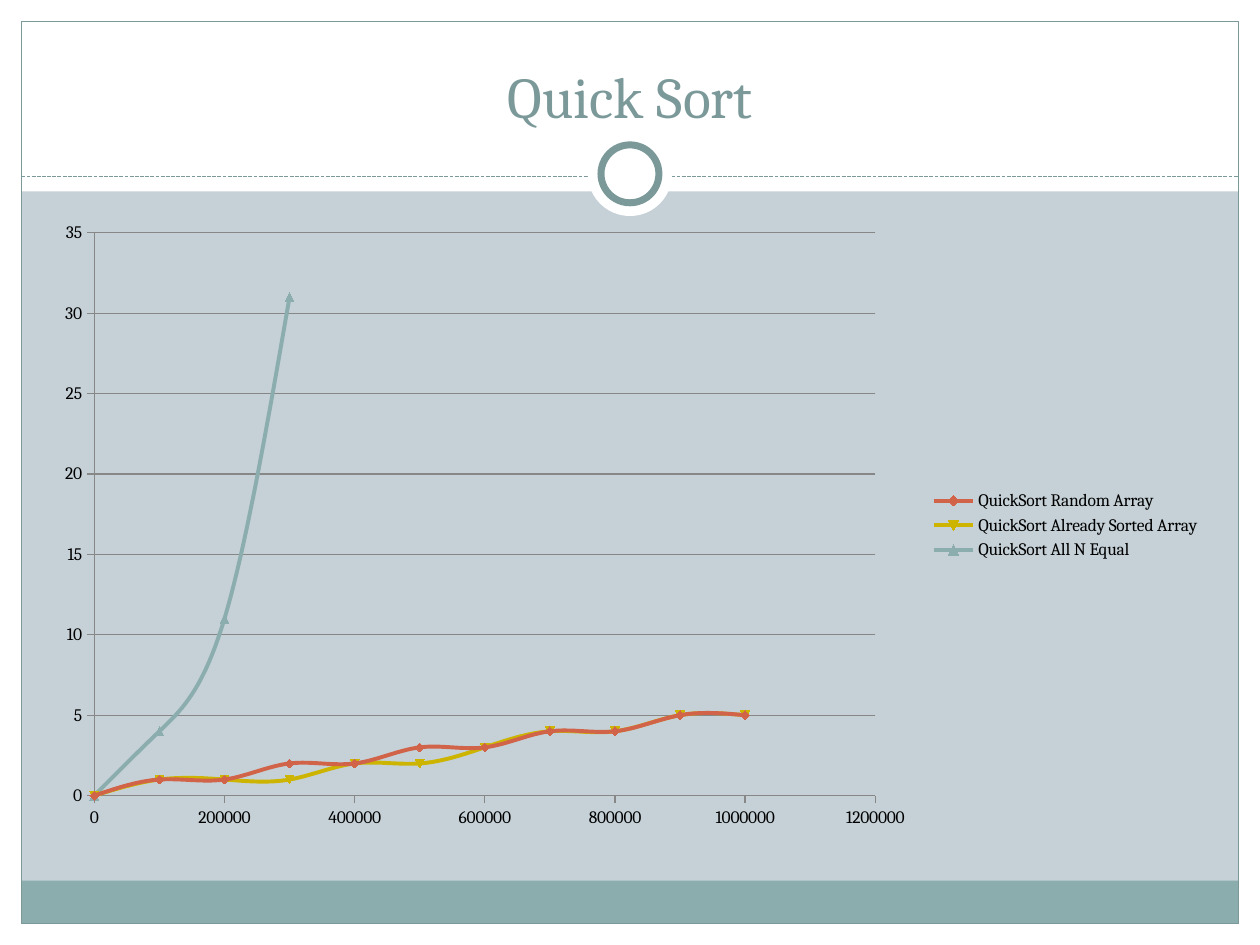
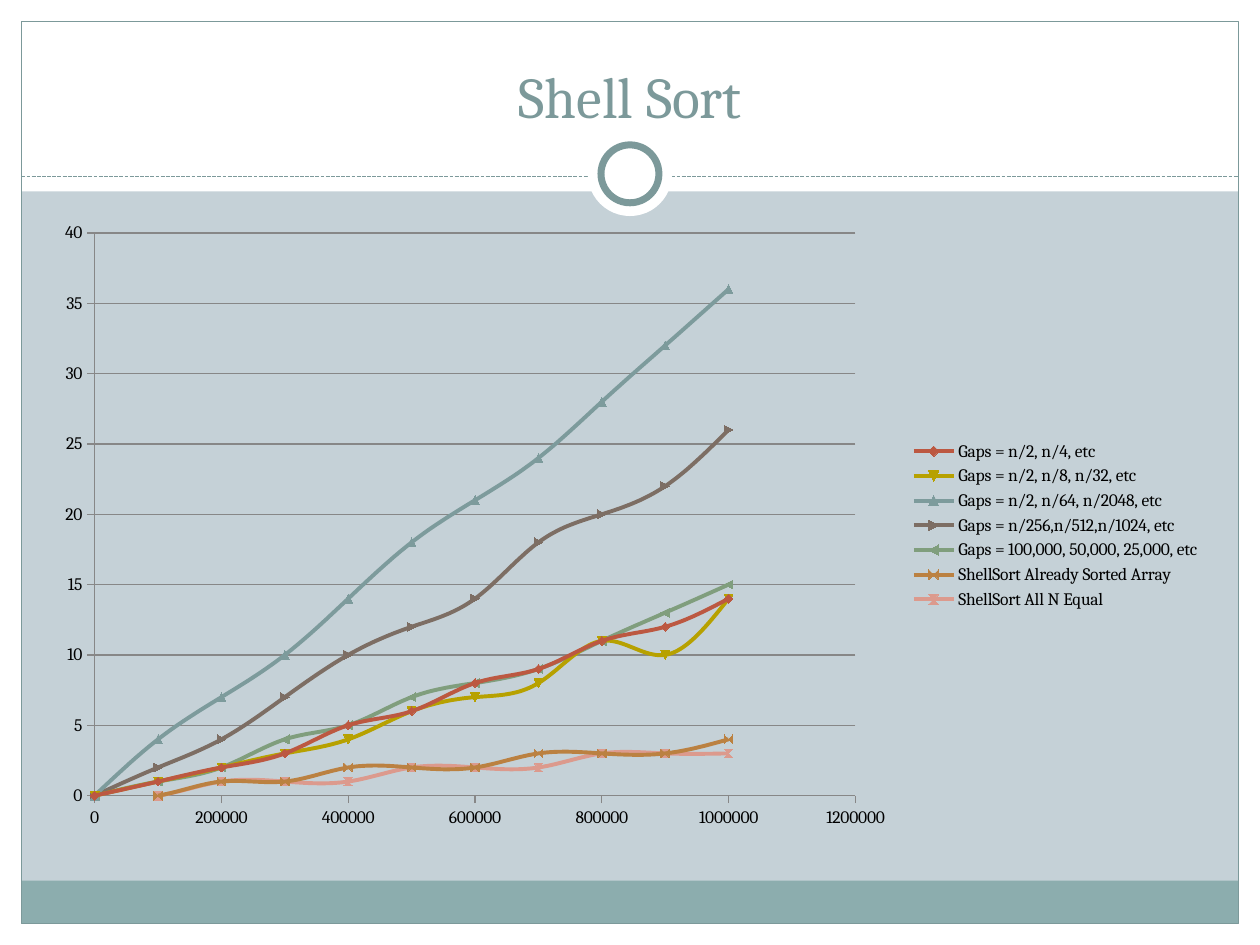
from lxml import etree
from pptx import Presentation
from pptx.chart.data import XyChartData
from pptx.dml.color import RGBColor
from pptx.enum.chart import XL_CHART_TYPE, XL_LEGEND_POSITION, XL_TICK_MARK
from pptx.enum.dml import MSO_LINE
from pptx.enum.shapes import MSO_CONNECTOR, MSO_SHAPE
from pptx.enum.text import MSO_ANCHOR, PP_ALIGN
from pptx.oxml.ns import qn
from pptx.util import Inches, Pt

RECT, OVAL = MSO_SHAPE.RECTANGLE, MSO_SHAPE.OVAL
STRAIGHT = MSO_CONNECTOR.STRAIGHT
DASHED = MSO_LINE.SQUARE_DOT
BOTTOM, CENTER = MSO_ANCHOR.BOTTOM, PP_ALIGN.CENTER
SCATTER = XL_CHART_TYPE.XY_SCATTER_SMOOTH
LEGEND_RIGHT = XL_LEGEND_POSITION.RIGHT
TICK_OUT = XL_TICK_MARK.OUTSIDE

WHITE = RGBColor(0xFF, 0xFF, 0xFF)
BLACK = RGBColor(0, 0, 0)
BACKDROP = RGBColor(0xC5, 0xD1, 0xD7)
TEAL = RGBColor(0x8C, 0xAD, 0xAE)
DARK_TEAL = RGBColor(0x7C, 0x99, 0x9A)
GRID_GRAY = RGBColor(0x87, 0x87, 0x87)
RED = RGBColor(0xD1, 0x63, 0x49)
YELLOW = RGBColor(0xCC, 0xB4, 0x00)
BRICK = RGBColor(0xBC, 0x58, 0x41)
OLIVE = RGBColor(0xB7, 0xA1, 0x00)
SLATE = RGBColor(0x7D, 0x9B, 0x9C)
BROWN = RGBColor(0x7D, 0x6E, 0x64)
GREEN = RGBColor(0x80, 0x9E, 0x7D)
ORANGE = RGBColor(0xBB, 0x81, 0x41)
PINK = RGBColor(0xDC, 0x9A, 0x8D)

FONT = "Cambria"
W, H = 10, 7.5
MARGIN = 0.17
HEADER_H = 1.52
RULE_Y = 1.4
FOOTER_H = 0.34
RING_Y = 1.38
SIZE_STEP = 100000

SLIDES = [
    ("Quick Sort", 35, [
        ("QuickSort Random Array", RED, [0, 1, 1, 2, 2, 3, 3, 4, 4, 5, 5]),
        ("QuickSort Already Sorted Array", YELLOW, [0, 1, 1, 1, 2, 2, 3, 4, 4, 5, 5]),
        ("QuickSort All N Equal", TEAL, [0, 4, 11, 31]),
    ]),
    ("Shell Sort", 40, [
        ("Gaps = n/2, n/4, etc", BRICK, [0, 1, 2, 3, 5, 6, 8, 9, 11, 12, 14]),
        ("Gaps = n/2, n/8, n/32, etc", OLIVE, [0, 1, 2, 3, 4, 6, 7, 8, 11, 10, 14]),
        ("Gaps = n/2, n/64, n/2048, etc", SLATE,
         [0, 4, 7, 10, 14, 18, 21, 24, 28, 32, 36]),
        ("Gaps = n/256,n/512,n/1024, etc", BROWN,
         [0, 2, 4, 7, 10, 12, 14, 18, 20, 22, 26]),
        ("Gaps = 100,000, 50,000, 25,000, etc", GREEN,
         [0, 1, 2, 4, 5, 7, 8, 9, 11, 13, 15]),
        ("ShellSort Already Sorted Array", ORANGE, [0, 0, 1, 1, 2, 2, 2, 3, 3, 3, 4]),
        ("ShellSort All N Equal", PINK, [0, 0, 1, 1, 1, 2, 2, 2, 3, 3, 3]),
    ]),
]


def box(*lengths):
    return [Inches(v) for v in lengths]


def add_shape(slide, kind, at, fill=None, line=None, width=0.75):
    sp = slide.shapes.add_shape(kind, *box(*at))
    sp.shadow.inherit = False
    if fill is None:
        sp.fill.background()
    else:
        sp.fill.solid()
        sp.fill.fore_color.rgb = fill
    if line is None:
        sp.line.fill.background()
    else:
        sp.line.color.rgb = line
        sp.line.width = Pt(width)
    return sp


def add_circle(slide, size, **style):
    at = ((W - size) / 2, RING_Y - size / 2, size, size)
    return add_shape(slide, OVAL, at, WHITE, **style)


def add_rule(slide):
    rule = slide.shapes.add_connector(
        STRAIGHT, *box(MARGIN, RULE_Y, W - MARGIN, RULE_Y))
    rule.line.color.rgb = DARK_TEAL
    rule.line.width = Pt(0.75)
    rule.line.dash_style = DASHED
    etree.SubElement(rule._element.spPr, qn("a:effectLst"))
    return rule


def decorate_layout(layout, slide):
    inner_w, inner_h = W - 2 * MARGIN, H - 2 * MARGIN
    bands = [(0, H - MARGIN, W, MARGIN), (0, 0, W, HEADER_H),
             (0, 0, MARGIN, H), (W - MARGIN, 0, MARGIN, H)]
    parts = [add_shape(slide, RECT, at, WHITE) for at in bands]
    footer = (MARGIN, H - MARGIN - FOOTER_H, inner_w, FOOTER_H)
    parts += [
        add_shape(slide, RECT, footer, TEAL),
        add_shape(slide, RECT, (MARGIN, MARGIN, inner_w, inner_h), line=DARK_TEAL),
        add_rule(slide),
        add_circle(slide, 0.67),
        add_circle(slide, 0.46, line=DARK_TEAL, width=4),
    ]
    for part in parts:
        layout.shapes._spTree.append(part._element)


def set_title(slide, text):
    title = slide.shapes.title
    title.left, title.top, title.width, title.height = box(0.33, 0.25, 9.34, 0.83)
    tf = title.text_frame
    tf.text = text
    tf.vertical_anchor = BOTTOM
    p = tf.paragraphs[0]
    p.alignment = CENTER
    font = p.runs[0].font
    font.name, font.size, font.color.rgb = FONT, Pt(33), DARK_TEAL


def style_axis(axis, top, step):
    axis.minimum_scale, axis.maximum_scale, axis.major_unit = 0, top, step
    axis.major_tick_mark = TICK_OUT
    axis.format.line.color.rgb = GRID_GRAY
    axis.tick_labels.number_format = "General"
    axis.tick_labels.number_format_is_linked = False


def add_timing_chart(slide, top, timings):
    data = XyChartData()
    for name, _, seconds in timings:
        series = data.add_series(name)
        for i, value in enumerate(seconds):
            series.add_data_point(i * SIZE_STEP, value)
    chart = slide.shapes.add_chart(SCATTER, *box(0.33, 1.67, 9.3, 5), data).chart
    chart.has_title = False
    chart.font.name, chart.font.size = FONT, Pt(10)
    chart.font.color.rgb = BLACK
    chart.has_legend = True
    chart.legend.position = LEGEND_RIGHT
    chart.legend.include_in_layout = False

    style_axis(chart.category_axis, 12 * SIZE_STEP, 2 * SIZE_STEP)
    style_axis(chart.value_axis, top, 5)
    chart.category_axis.has_major_gridlines = False
    chart.value_axis.has_major_gridlines = True
    chart.value_axis.major_gridlines.format.line.color.rgb = GRID_GRAY

    plot = chart.plots[0]
    plot.vary_by_categories = False
    for series, (_, color, _) in zip(plot.series, timings):
        line = series.format.line
        line.color.rgb, line.width = color, Pt(2.25)
        marker = series.marker
        marker.size = 5
        marker.format.fill.solid()
        marker.format.fill.fore_color.rgb = color
        marker.format.line.color.rgb = color
        series._element.find(qn("c:smooth")).set("val", "1")


def main():
    prs = Presentation()
    prs.slide_width, prs.slide_height = box(W, H)
    fill = prs.slide_master.background.fill
    fill.solid()
    fill.fore_color.rgb = BACKDROP
    layout = prs.slide_layouts.get_by_name("Title Only")
    slides = [prs.slides.add_slide(layout) for _ in SLIDES]
    decorate_layout(layout, slides[0])
    for slide, (title, top, timings) in zip(slides, SLIDES):
        set_title(slide, title)
        add_timing_chart(slide, top, timings)
    prs.save("out.pptx")


if __name__ == "__main__":
    main()
